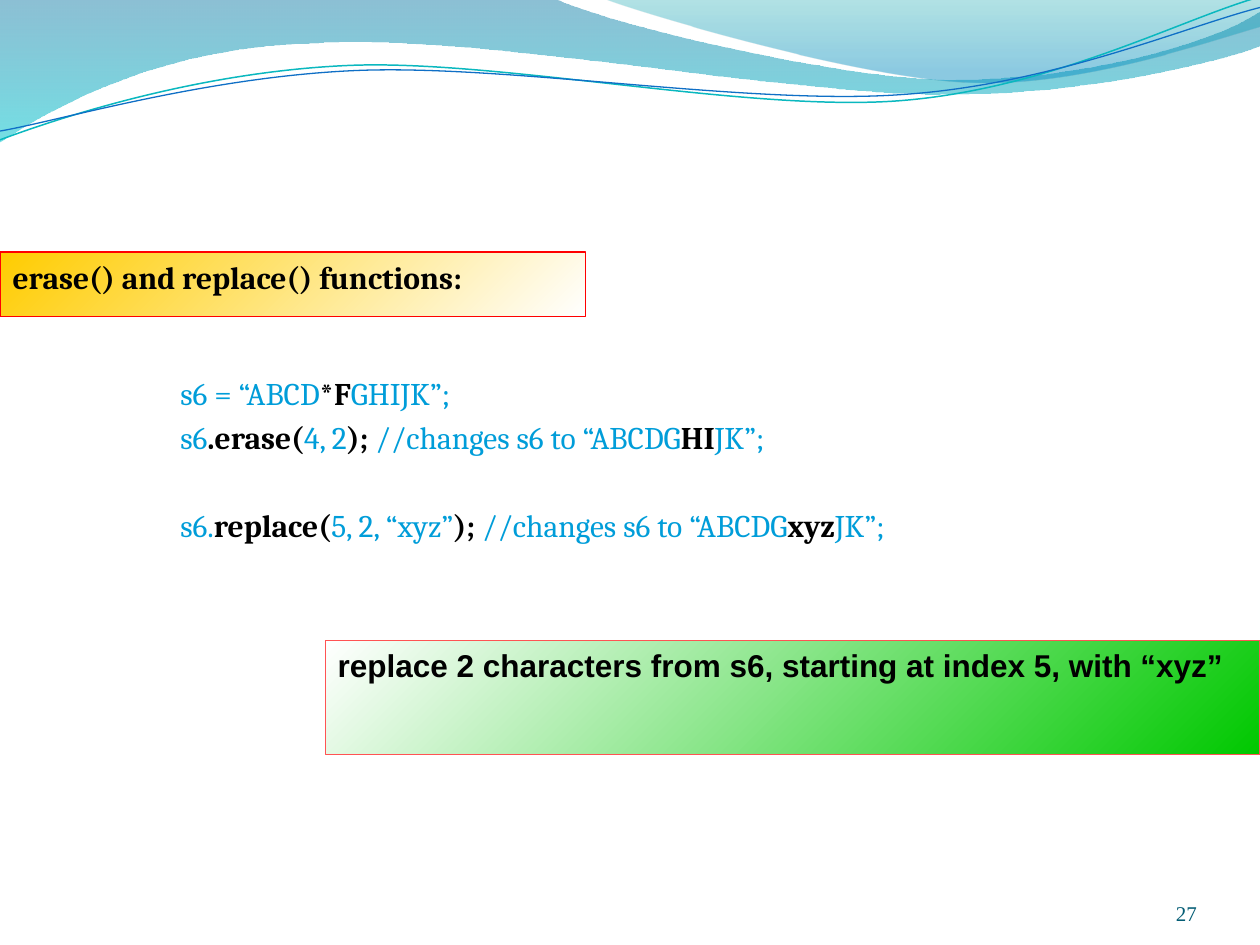
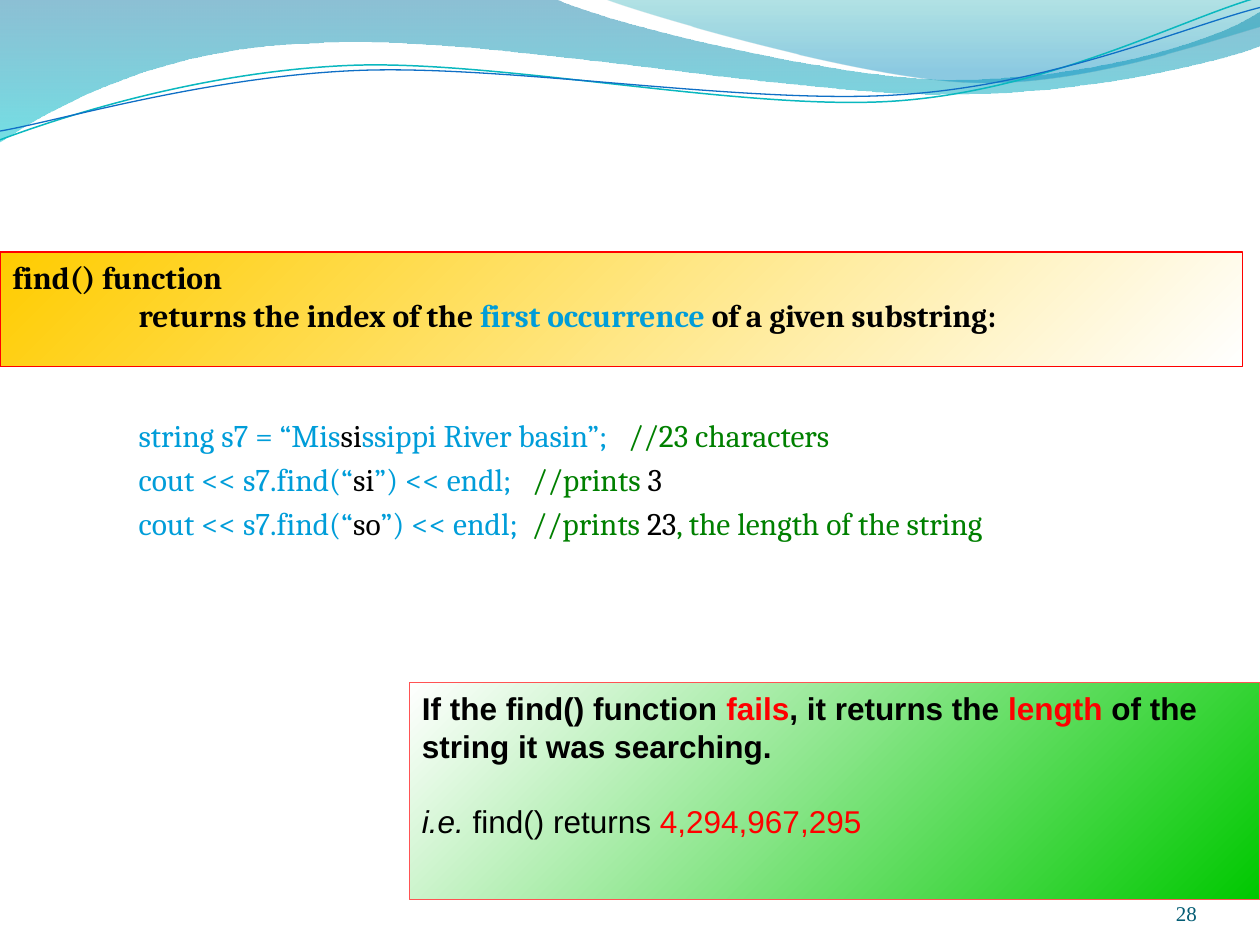
"""Build two slides on string functions: erase, replace and find."""
from dataclasses import dataclass
from math import cos, radians, sin

from lxml import etree
from pptx import Presentation
from pptx.dml.color import RGBColor
from pptx.enum.shapes import MSO_SHAPE
from pptx.enum.text import MSO_ANCHOR, MSO_AUTO_SIZE, PP_ALIGN
from pptx.oxml.ns import qn
from pptx.util import Pt

RECTANGLE = MSO_SHAPE.RECTANGLE
TOP, BOTTOM = MSO_ANCHOR.TOP, MSO_ANCHOR.BOTTOM
LEFT, RIGHT = PP_ALIGN.LEFT, PP_ALIGN.RIGHT
NO_AUTOFIT = MSO_AUTO_SIZE.NONE

BLACK = RGBColor(0x00, 0x00, 0x00)
WHITE = RGBColor(0xFF, 0xFF, 0xFF)
RED = RGBColor(0xFF, 0x00, 0x00)
CORAL = RGBColor(0xFF, 0x53, 0x53)
GOLD = RGBColor(0xFF, 0xCC, 0x00)
GREEN = RGBColor(0x00, 0xC8, 0x00)
COMMENT_GREEN = RGBColor(0x00, 0x80, 0x00)
CODE_BLUE = RGBColor(0x00, 0x9D, 0xD9)
NUMBER_BLUE = RGBColor(0x04, 0x5D, 0x75)
DEEP_BLUE = RGBColor(0x00, 0x74, 0xA1)
CYAN = RGBColor(0x00, 0xC6, 0xCF)
TEAL = RGBColor(0x00, 0xA1, 0xA9)
SKY = RGBColor(0x00, 0x8B, 0xBF)
TEAL_LINE = RGBColor(0x0A, 0xB8, 0xBF)
BLUE_LINE = RGBColor(0x0F, 0x6F, 0xC6)

CODE_FONT, NOTE_FONT, NUMBER_FONT = "Cambria", "Arial", "Times New Roman"
TEXT_SIZE, NUMBER_SIZE = 18, 12
INDENT, LINE_GAP = 72, 3.6
LINE_TILT, TILT_CENTER = -2.7, (359.5, 42)
FIRST_WAVE_ID = 101


@dataclass(frozen=True)
class Span:
    """A piece of text in one style."""
    text: str
    color: RGBColor = BLACK
    bold: bool = False
    italic: bool = False


@dataclass(frozen=True)
class Line:
    """A paragraph with its indent and the space above it, in points."""
    spans: tuple[Span, ...]
    indent: float = 0
    before: float = 0


@dataclass(frozen=True)
class Box:
    """A position and size in points."""
    left: float
    top: float
    width: float
    height: float


@dataclass(frozen=True)
class Stop:
    """A gradient stop; position and opacity run from 0 to 1."""
    position: float
    color: RGBColor
    opacity: float = 1


@dataclass(frozen=True)
class Wave:
    """An outline: two numbers make a straight step, six a Bezier curve."""
    start: tuple[float, float]
    steps: tuple[tuple[float, ...], ...]
    stops: tuple[Stop, ...] = ()
    stroke: RGBColor = BLACK
    weight: float = 0
    tilt: float = 0


@dataclass(frozen=True)
class Lesson:
    """The content of one slide."""
    number: str
    title_box: Box
    title: tuple[Line, ...]
    code_box: Box
    code: tuple[Line, ...]
    note_box: Box
    note: tuple[Line, ...]


WAVES = (
    Wave((0, 0), ((317, -0.7),
                  (342.7, 12.2, 478, 45.4, 545.8, 45.4),
                  (614.2, 45.4, 689.8, 26.6, 720, 6.5),
                  (720.7, 25.9),
                  (707.8, 31.7, 626.4, 54.7, 537, 54),
                  (447.8, 54, 275, 20.2, 185, 24.5),
                  (92.9, 25.9, 33.1, 59.8, -0.7, 81.4)),
         stops=(Stop(0, DEEP_BLUE, 0.45), Stop(1, CYAN, 0.55))),
    Wave((344.9, -0.7), ((366.5, 7.9, 491, 44.6, 553.7, 46.8),
                         (616.3, 49.7, 692, 23, 720, 15.1),
                         (720, 0)),
         stops=(Stop(0, TEAL, 0.3), Stop(0.8, SKY, 0.45))),
    Wave((0, 79.9), ((34.6, 67, 113.8, 41, 199.4, 37.4),
                     (284.4, 33.8, 427, 64.1, 513.4, 57.6),
                     (599.8, 51.1, 675.4, 10.8, 718.6, -1.4)),
         stroke=TEAL_LINE, weight=0.85, tilt=LINE_TILT),
    Wave((0, 74.9), ((33.8, 69.1, 118, 43.9, 203.8, 40.3),
                     (290.2, 36.7, 429.8, 60.5, 516.2, 54),
                     (602, 48.2, 677.5, 15.1, 720, 4.3)),
         stroke=BLUE_LINE, weight=0.75, tilt=LINE_TILT),
)


def code(text: str) -> Span:
    """Return plain code."""
    return Span(text, CODE_BLUE)


def comment(text: str) -> Span:
    """Return a code comment."""
    return Span(text, COMMENT_GREEN)


def strong(text: str, color: RGBColor = BLACK) -> Span:
    """Return bold text."""
    return Span(text, color, bold=True)


def code_line(*spans: Span, before: float = LINE_GAP) -> Line:
    """Return an indented line of code."""
    return Line(spans, INDENT, before)


LESSONS = (
    Lesson(
        "27",
        Box(0, 144, 334.8, 36.7),
        (Line((strong("erase() and replace() functions:"),)),),
        Box(23.8, 210.2, 666, 141),
        (code_line(code("s6 = “ABCD"), strong("*F"), code("GHIJK”;")),
         code_line(code("s6"), strong(".erase("), code("4, 2"), strong(");"),
                   code(" //changes s6 to “ABCDG"), strong("HI"), code("JK”;")),
         code_line(code("s6."), strong("replace("), code("5, 2, “xyz”"),
                   strong(");"), code(" //changes s6 to “ABCDG"),
                   strong("xyz"), code("JK”;"), before=28.7)),
        Box(185.8, 365.8, 534.2, 65.5),
        (Line((strong("replace 2 characters from s6, starting at index 5, "
                      "with “xyz”"),)),),
    ),
    Lesson(
        "28",
        Box(0, 144, 709.9, 65.5),
        (Line((strong("find() function "),)),
         Line((strong("returns the index of the "),
               strong("first occurrence ", CODE_BLUE),
               strong("of a given substring:")), INDENT)),
        Box(0, 234, 720, 105.8),
        (code_line(code("string s7 = “Mis"), Span("si"),
                   code("ssippi River basin”;   "), comment("//23 characters")),
         code_line(code("cout << s7.find(“"), Span("si"),
                   code("”) << endl;   "), comment("//prints "), Span("3")),
         code_line(code("cout << s7.find(“"), Span("so"),
                   code("”) << endl;  "), comment("//prints "), Span("23"),
                   comment(", the length of the string"))),
        Box(234, 390.2, 486, 123.8),
        (Line((strong("If the find() function "), strong("fails", RED),
               strong(", it returns the "), strong("length", RED),
               strong(" of the string it was searching."))),
         Line((Span("i.e.", italic=True), Span(" find() returns "),
               Span("4,294,967,295", RED)), before=21.5)),
    ),
)


def place(shape, box: Box) -> None:
    """Move and size a shape."""
    shape.left, shape.top = Pt(box.left), Pt(box.top)
    shape.width, shape.height = Pt(box.width), Pt(box.height)


def fill_gradient(shape, stops: tuple[Stop, ...], angle: float) -> None:
    """Fill a shape with a two-stop gradient at a clockwise angle."""
    shape.fill.gradient()
    shape.fill.gradient_angle = 360 - angle
    for target, stop in zip(shape.fill.gradient_stops, stops):
        target.position = stop.position
        target.color.rgb = stop.color
    for color, stop in zip(shape.element.iter(qn("a:srgbClr")), stops):
        if stop.opacity < 1:
            alpha = etree.SubElement(color, qn("a:alpha"))
            alpha.set("val", str(round(stop.opacity * 100000)))


def write(shape, lines: tuple[Line, ...], font: str, size: float = TEXT_SIZE,
          align=LEFT, anchor=TOP) -> None:
    """Write lines into a shape, run by run."""
    frame = shape.text_frame
    frame.word_wrap = True
    frame.auto_size = NO_AUTOFIT
    frame.vertical_anchor = anchor
    for index, line in enumerate(lines):
        paragraph = frame.add_paragraph() if index else frame.paragraphs[0]
        paragraph.alignment = align
        paragraph.space_before = Pt(line.before)
        properties = paragraph._p.get_or_add_pPr()
        properties.set("marL", str(Pt(line.indent)))
        properties.set("indent", "0")
        etree.SubElement(properties, qn("a:buNone"))
        for span in line.spans:
            run = paragraph.add_run()
            run.text = span.text
            run.font.name, run.font.size = font, Pt(size)
            run.font.bold, run.font.italic = span.bold, span.italic
            run.font.color.rgb = span.color


def level(x: float, y: float, tilt: float) -> tuple[int, int]:
    """Return a point as it lies before the shape is tilted."""
    (cx, cy), turn = TILT_CENTER, radians(-tilt)
    dx, dy = x - cx, y - cy
    return (Pt(cx + dx * cos(turn) - dy * sin(turn)),
            Pt(cy + dx * sin(turn) + dy * cos(turn)))


def draw_wave(slide, wave: Wave):
    """Draw a wave, joining each three points of a curved step."""
    points = [level(*step[i:i + 2], wave.tilt)
              for step in wave.steps for i in range(0, len(step), 2)]
    builder = slide.shapes.build_freeform(*level(*wave.start, wave.tilt))
    builder.add_line_segments(points, close=bool(wave.stops))
    shape = builder.convert_to_shape()
    segments = iter(list(shape.element.iter(qn("a:lnTo"))))
    for step in wave.steps:
        first = next(segments)
        if len(step) == 6:
            curve = etree.Element(qn("a:cubicBezTo"))
            first.addprevious(curve)
            for segment in (first, next(segments), next(segments)):
                curve.append(segment[0])
                segment.getparent().remove(segment)
    shape.rotation = wave.tilt % 360
    return shape


def add_waves(slide) -> None:
    """Draw the waves and hand them to the master that the slides share."""
    for shape_id, wave in enumerate(WAVES, FIRST_WAVE_ID):
        shape = draw_wave(slide, wave)
        shape.shadow.inherit = False
        if wave.stops:
            fill_gradient(shape, wave.stops, 90)
            shape.line.fill.background()
        else:
            shape.fill.background()
            shape.line.color.rgb = wave.stroke
            shape.line.width = Pt(wave.weight)
        shape.element.xpath(".//p:cNvPr")[0].set("id", str(shape_id))
        slide.slide_layout.slide_master.shapes.element.append(shape.element)


def style_band(shape, start: RGBColor, end: RGBColor, outline: RGBColor) -> None:
    """Give a band its diagonal gradient and thin outline."""
    fill_gradient(shape, (Stop(0, start), Stop(1, end)), 45)
    shape.line.color.rgb, shape.line.width = outline, Pt(0.75)


def fill_slide(slide, lesson: Lesson) -> None:
    """Fill a slide with the title band, code, note and number."""
    title, body = slide.shapes.title, slide.placeholders[1]
    place(title, lesson.title_box)
    style_band(title, GOLD, WHITE, RED)
    write(title, lesson.title, CODE_FONT)
    place(body, lesson.code_box)
    write(body, lesson.code, CODE_FONT)
    note = slide.shapes.add_shape(RECTANGLE, 0, 0, 0, 0)
    place(note, lesson.note_box)
    note.shadow.inherit = False
    style_band(note, WHITE, GREEN, CORAL)
    write(note, lesson.note, NOTE_FONT)
    number = slide.shapes.add_textbox(Pt(624.2), Pt(500.4), Pt(59.8), Pt(28.8))
    frame = number.text_frame
    frame.margin_left = frame.margin_right = 0
    frame.margin_top = frame.margin_bottom = 0
    write(number, (Line((Span(lesson.number, NUMBER_BLUE),)),), NUMBER_FONT,
          NUMBER_SIZE, RIGHT, BOTTOM)


presentation = Presentation()
presentation.slide_width, presentation.slide_height = Pt(720), Pt(540)
slides = [presentation.slides.add_slide(presentation.slide_layouts[1])
          for _ in LESSONS]
add_waves(slides[0])
for lesson_slide, lesson in zip(slides, LESSONS):
    fill_slide(lesson_slide, lesson)
presentation.save("out.pptx")
